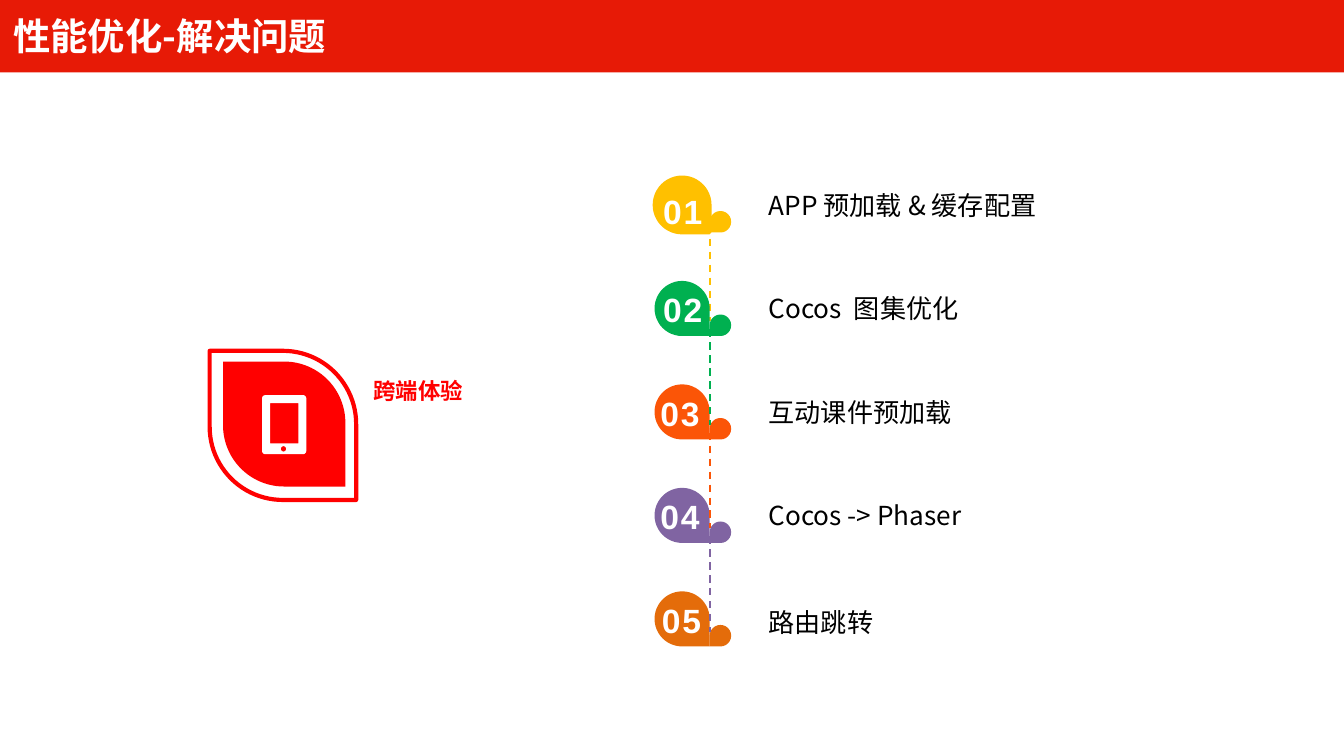
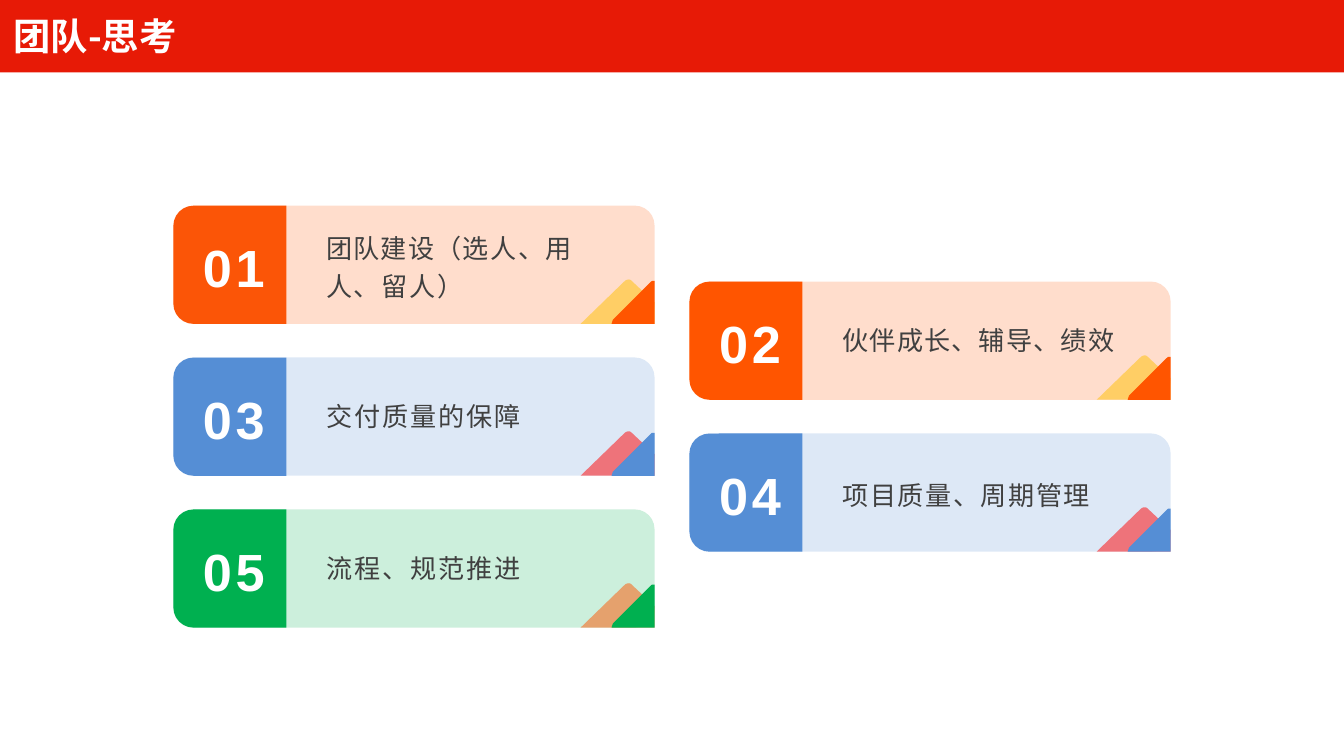
from lxml import etree
from pptx import Presentation
from pptx.dml.color import RGBColor
from pptx.enum.dml import MSO_LINE
from pptx.enum.shapes import MSO_CONNECTOR, MSO_SHAPE
from pptx.enum.text import MSO_ANCHOR, PP_ALIGN
from pptx.oxml.ns import qn
from pptx.util import Inches, Pt

RECT = MSO_SHAPE.RECTANGLE
CARD = MSO_SHAPE.ROUNDED_RECTANGLE
PANEL = MSO_SHAPE.ROUND_2_SAME_RECTANGLE
LEAF = MSO_SHAPE.ROUND_2_DIAG_RECTANGLE
DROP = MSO_SHAPE.TEAR
STRAIGHT = MSO_CONNECTOR.STRAIGHT
DASH = MSO_LINE.DASH
MIDDLE = MSO_ANCHOR.MIDDLE
LEFT, CENTER = PP_ALIGN.LEFT, PP_ALIGN.CENTER

WHITE = RGBColor(0xFF, 0xFF, 0xFF)
BLACK = RGBColor(0x00, 0x00, 0x00)
GRAY = RGBColor(0x40, 0x40, 0x40)
BAND_RED = RGBColor(0xE7, 0x1A, 0x06)
RED = RGBColor(0xFF, 0x00, 0x00)
YELLOW = RGBColor(0xFF, 0xC0, 0x00)
GREEN = RGBColor(0x00, 0xB0, 0x50)
VERMILION = RGBColor(0xFB, 0x55, 0x07)
ORANGE = RGBColor(0xFF, 0x55, 0x00)
PURPLE = RGBColor(0x80, 0x64, 0xA2)
AMBER = RGBColor(0xE4, 0x6C, 0x0A)
BLUE = RGBColor(0x55, 0x8E, 0xD5)

CJK = "Noto Sans CJK SC"
LATIN = "Arial"

PEAK = [[(3.39, 0.55), (3.40, 0.55, 3.41, 0.56, 3.42, 0.57), (3.58, 0.72), (3.58, 0.88),
         (3.03, 0.88), (3.35, 0.57), (3.36, 0.56, 3.37, 0.55, 3.39, 0.55)]]
SLOPE = [[(3.58, 0.56), (3.58, 0.88), (3.26, 0.88), (3.27, 0.85), (3.55, 0.57),
          (3.56, 0.56, 3.56, 0.56, 3.57, 0.56)]]
PHONE = [
    [(0.03, 0), (0.30, 0), (0.32, 0, 0.33, 0.01, 0.33, 0.03), (0.33, 0.41),
     (0.33, 0.43, 0.32, 0.44, 0.30, 0.44), (0.03, 0.44), (0.01, 0.44, 0, 0.43, 0, 0.41),
     (0, 0.03), (0, 0.01, 0.01, 0, 0.03, 0)],
    [(0.06, 0.06), (0.06, 0.36), (0.27, 0.36), (0.27, 0.06)],
    [(0.16, 0.38), (0.15, 0.38, 0.14, 0.39, 0.14, 0.40), (0.14, 0.41, 0.15, 0.42, 0.16, 0.42),
     (0.17, 0.42, 0.18, 0.41, 0.18, 0.40), (0.18, 0.39, 0.17, 0.38, 0.16, 0.38)],
]


def flatten(contour, steps=8):
    points = [contour[0]]
    for segment in contour[1:]:
        if len(segment) == 2:
            points.append(segment)
            continue
        (x0, y0), (x1, y1, x2, y2, x3, y3) = points[-1], segment
        for step in range(1, steps + 1):
            t = step / steps
            a, b, c, d = (1 - t) ** 3, 3 * t * (1 - t) ** 2, 3 * t * t * (1 - t), t ** 3
            points.append((a * x0 + b * x1 + c * x2 + d * x3, a * y0 + b * y1 + c * y2 + d * y3))
    return points


class Deck:
    def __init__(self):
        self.prs = Presentation()
        self.prs.slide_width = Inches(10)
        self.prs.slide_height = Inches(10 * 9 / 16)
        self.slide = None

    def new_slide(self):
        self.slide = self.prs.slides.add_slide(self.prs.slide_layouts[6])

    def title(self, words):
        self.shape(RECT, 0, 0, 10, 0.54, BAND_RED)
        self.text(words, 0, -0.04, 7.11, 0.61, 20, WHITE, bold=True, after=0)

    def paint(self, shape, fill, line=None, width=0, opacity=None):
        shape.shadow.inherit = False
        if fill is None:
            shape.fill.background()
        else:
            shape.fill.solid()
            shape.fill.fore_color.rgb = fill
        if opacity is not None:
            color = shape._element.spPr.find(qn("a:solidFill")).find(qn("a:srgbClr"))
            etree.SubElement(color, qn("a:alpha")).set("val", str(opacity * 1000))
        if line is None:
            shape.line.fill.background()
        else:
            shape.line.color.rgb = line
            shape.line.width = Pt(width)

    def shape(self, kind, x, y, w, h, fill=None, line=None, width=0, opacity=None,
              rotation=0, adjust=()):
        shape = self.slide.shapes.add_shape(kind, Inches(x), Inches(y), Inches(w), Inches(h))
        shape.rotation = rotation
        for index, value in enumerate(adjust):
            shape.adjustments[index] = value
        self.paint(shape, fill, line, width, opacity)

    def outline(self, contours, x, y, fill, opacity=None):
        builder = None
        for contour in contours:
            points = [(Inches(x + px), Inches(y + py)) for px, py in flatten(contour)]
            if builder is None:
                builder = self.slide.shapes.build_freeform(*points[0])
            else:
                builder.move_to(*points[0])
            builder.add_line_segments(points[1:], close=True)
        self.paint(builder.convert_to_shape(), fill, opacity=opacity)

    def dashed_line(self, x, top, bottom, color):
        line = self.slide.shapes.add_connector(
            STRAIGHT, Inches(x), Inches(top), Inches(x), Inches(bottom))
        line.line.color.rgb = color
        line.line.width = Pt(1)
        line.line.dash_style = DASH
        etree.SubElement(line._element.spPr, qn("a:effectLst"))

    def text(self, words, x, y, w, h, size, color, font=CJK, bold=False, align=LEFT,
             spacing=0, after=8, leading=None, insets=(0.1, 0.05)):
        frame = self.slide.shapes.add_textbox(
            Inches(x), Inches(y), Inches(w), Inches(h)).text_frame
        frame.word_wrap = True
        frame.vertical_anchor = MIDDLE
        frame.margin_left = frame.margin_right = Inches(insets[0])
        frame.margin_top = frame.margin_bottom = Inches(insets[1])
        paragraph = frame.paragraphs[0]
        paragraph.alignment = align
        paragraph.space_after = Pt(after)
        if leading:
            paragraph.line_spacing = leading
        parts = [(words, spacing)] if isinstance(words, str) else words
        for part, tracking in parts:
            run = paragraph.add_run()
            run.text = part
            if tracking:
                run._r.get_or_add_rPr().set("spc", str(round(tracking * 100)))
        style = paragraph.font
        style.size, style.bold, style.name = Pt(size), bold, font
        style.color.rgb = color
        defaults = paragraph._p.pPr.find(qn("a:defRPr"))
        etree.SubElement(defaults, qn("a:ea")).set("typeface", CJK)

    def number(self, value, x, y, w, h, size, spacing, insets=(0.1, 0.05)):
        self.text(f"{value:02d}", x, y, w, h, size, WHITE, LATIN, True, CENTER, spacing,
                  insets=insets)


def solutions_slide(deck):
    pitch = 0.77
    steps = [
        ("APP 预加载 & 缓存配置", YELLOW, 4.92, 1.41, None),
        ([("Cocos", 0), (" ", 3.2), ("图集优化", 0)], GREEN, 4.92, 1.37, None),
        ("互动课件预加载", VERMILION, 4.9, 1.37, None),
        ("Cocos -> Phaser", PURPLE, 4.9, 1.37, None),
        ("路由跳转", AMBER, 4.91, 1.37, 1.2),
    ]

    def link(index):
        top = 1.68 + index * pitch
        deck.dashed_line(5.28, top, top + 0.71, steps[index][1])

    deck.new_slide()
    link(0)
    for index, (label, color, _, _, leading) in enumerate(steps):
        shift = index * pitch
        border = color if index == 0 else None
        deck.shape(DROP, 4.87, 1.32 + shift, 0.41, 0.41, color, border, 2, rotation=90)
        deck.shape(DROP, 5.28, 1.57 + shift, 0.16, 0.16, color, rotation=180)
        deck.text(label, 5.62, 1.21 + shift, 3.31, 0.63, 14, BLACK, leading=leading)
    for index in range(1, len(steps) - 1):
        link(index)
    for index, (_, _, x, y, _) in enumerate(steps):
        deck.number(index + 1, x, y + index * pitch, 0.32, 0.32, 18, 1, (0, 0))
    deck.title("性能优化-解决问题")

    deck.shape(LEAF, 1.55, 2.62, 1.11, 1.09, line=RED, width=2.25, rotation=270, adjust=(0.5, 0))
    deck.shape(LEAF, 1.65, 2.7, 0.93, 0.91, RED, rotation=270, adjust=(0.5, 0))
    deck.text("跨端体验", 2.65, 2.76, 2.35, 0.29, 12, RED, bold=True, after=0,
              insets=(0.13, 0.07))
    deck.outline(PHONE, 1.95, 2.94, WHITE)


def team_slide(deck):
    cards = [
        ([("团队建设（", 0.6), ("选人、用人、留人", 0.8), ("）", 0.6)],
         0, 1.2, ORANGE, VERMILION, YELLOW),
        ("伙伴成长、辅导、绩效", 0.6, None, ORANGE, ORANGE, YELLOW),
        ("交付质量的保障", 1, None, BLUE, BLUE, RED),
        ("项目质量、周期管理", 0.8, 1.2, BLUE, BLUE, RED),
        ("流程、规范推进", 1, None, GREEN, GREEN, ORANGE),
    ]
    deck.new_slide()
    for index, (words, spacing, leading, color, panel, peak) in enumerate(cards):
        x = 1.29 + 3.84 * (index % 2)
        y = 1.53 + 1.13 * index / 2
        deck.shape(CARD, x, y, 3.58, 0.88, color, opacity=20)
        deck.outline(PEAK, x, y, peak, 50)
        deck.outline(SLOPE, x, y, color)
        deck.shape(PANEL, x - 0.02, y + 0.02, 0.88, 0.84, panel, rotation=270, adjust=(0.18, 0))
        deck.text(words, x + 1.04, y + 0.03, 2.24, 0.81, 14, GRAY, LATIN, spacing=spacing,
                  leading=leading)
        deck.number(index + 1, x + 0.09, y + 0.15, 0.72, 0.61, 28, 2)
    deck.title("团队-思考")


def main():
    deck = Deck()
    solutions_slide(deck)
    team_slide(deck)
    deck.prs.save("out.pptx")


if __name__ == "__main__":
    main()
